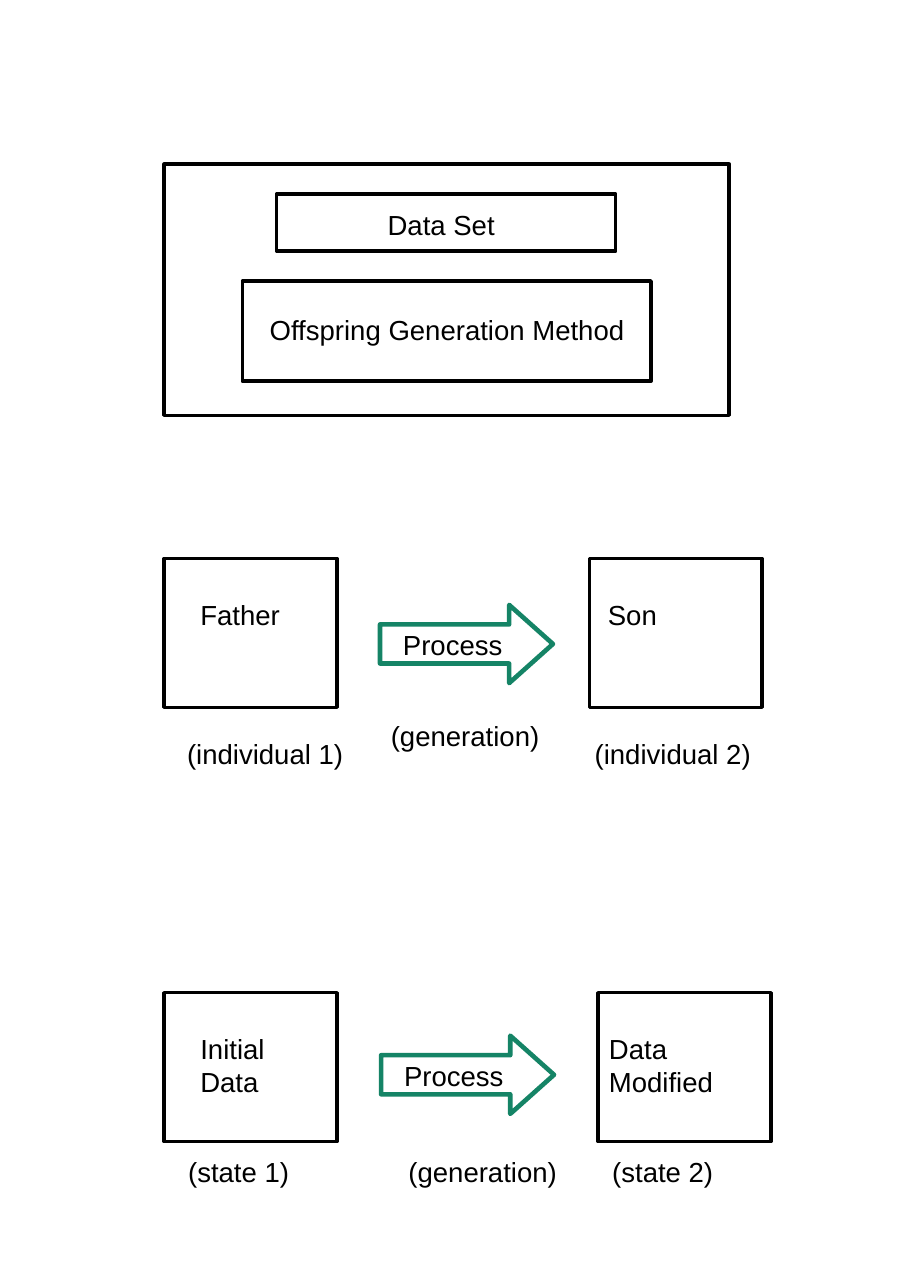
"""Build a page of diagrams on offspring generation and data processing."""
from pptx import Presentation
from pptx.dml.color import RGBColor
from pptx.enum.shapes import MSO_SHAPE
from pptx.enum.text import MSO_AUTO_SIZE
from pptx.util import Inches, Pt

BLACK = RGBColor(0x00, 0x00, 0x00)
GREEN = RGBColor(0x15, 0x84, 0x66)
RECTANGLE = MSO_SHAPE.RECTANGLE
RIGHT_ARROW = MSO_SHAPE.RIGHT_ARROW
FIT_TEXT = MSO_AUTO_SIZE.SHAPE_TO_FIT_TEXT
FONT_FORMAT = {"name": "Arial", "size": Pt(18)}
STATE_SIZE = (1.57, 1.35)
ARROW_SIZE = (1.57, 0.71)

deck = Presentation()
deck.slide_width = Inches(8.27)
deck.slide_height = Inches(11.69)
page = deck.slides.add_slide(deck.slide_layouts[6])


def add_outline(kind, left, top, width, height, color=BLACK, weight=2.3):
    """Add an unfilled shape and return it."""
    box = page.shapes.add_shape(
        kind, Inches(left), Inches(top), Inches(width), Inches(height))
    box.shadow.inherit = False
    box.fill.background()
    box.line.color.rgb = color
    box.line.width = Pt(weight)
    return box


def add_label(text, left, top, width, height):
    """Add a wrapped text box."""
    box = page.shapes.add_textbox(
        Inches(left), Inches(top), Inches(width), Inches(height))
    box.text_frame.word_wrap = True
    box.text_frame.auto_size = FIT_TEXT
    span = box.text_frame.paragraphs[0].add_run()
    span.text = text
    span.font.color.rgb = BLACK
    for attribute, value in FONT_FORMAT.items():
        setattr(span.font, attribute, value)


individual_boxes = [
    (1.49, 1.49, 5.13, 2.28),
    (2.51, 1.76, 3.08, 0.52),
    (2.2, 2.55, 3.71, 0.91),
]
for frame in individual_boxes:
    add_outline(RECTANGLE, *frame)

add_label("Data Set", 3.42, 1.84, 2.29, 0.38)
add_label("Offspring Generation Method", 2.35, 2.79, 3.51, 0.66)

processes = [
    {
        "top": 5.07, "right_box": 5.35, "arrow": (3.45, 5.49),
        "labels": [
            ("Father", 1.72, 5.38, 1.08, 0.66),
            ("Son", 5.42, 5.38, 1.57, 0.94),
            ("(individual 1)", 1.6, 6.64, 1.87, 0.66),
            ("(generation)", 3.45, 6.48, 1.57, 0.39),
            ("(individual 2)", 5.3, 6.64, 1.87, 0.66),
        ],
    },
    {
        "top": 9.01, "right_box": 5.43, "arrow": (3.46, 9.4),
        "labels": [
            ("Initial Data", 1.72, 9.32, 1.08, 0.66),
            ("Data Modified", 5.43, 9.32, 1.57, 0.94),
            ("(state 1)", 1.61, 10.43, 1.57, 0.39),
            ("(generation)", 3.61, 10.43, 1.57, 0.39),
            ("(state 2)", 5.46, 10.43, 1.57, 0.39),
        ],
    },
]
for process in processes:
    for left in (1.49, process["right_box"]):
        add_outline(RECTANGLE, left, process["top"], *STATE_SIZE)

    arrow_left, arrow_top = process["arrow"]
    arrow = add_outline(RIGHT_ARROW, arrow_left, arrow_top, *ARROW_SIZE, GREEN, 3)
    arrow.adjustments[0] = 0.5
    arrow.adjustments[1] = 0.56
    add_label("Process", arrow_left + 0.11, arrow_top + 0.16, 1.3, 0.66)

    for label in process["labels"]:
        add_label(*label)

deck.save("out.pptx")
